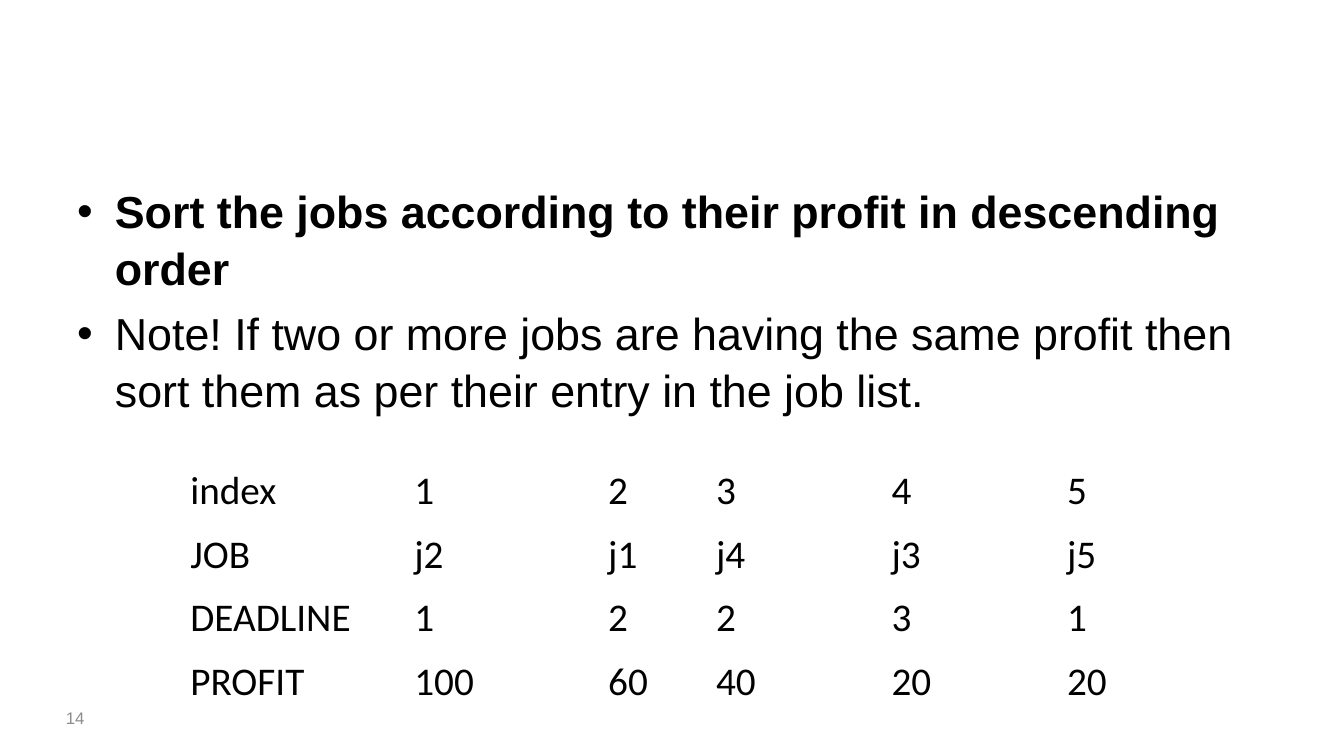
from pptx import Presentation
from pptx.dml.color import RGBColor
from pptx.enum.text import MSO_ANCHOR as Anchor
from pptx.oxml import parse_xml
from pptx.oxml.ns import nsdecls
from pptx.util import Pt

BULLETS = [
    ("Sort the jobs according to their profit in descending order", True),
    ("Note! If two or more jobs are having the same profit then "
     "sort them as per their entry in the job list.", False),
]
JOBS = [
    ["index", "1", "2", "3", "4", "5"],
    ["JOB", "j2", "j1", "j4", "j3", "j5"],
    ["DEADLINE", "1", "2", "2", "3", "1"],
    ["PROFIT", "100", "60", "40", "20", "20"],
]
COLUMN_WIDTHS = [160, 138.5, 77, 125.4, 125.4, 125.4]
ROW_HEIGHT = 45.36
BLACK, GREY = "000000", "8C8C8C"


def colour(code):
    return RGBColor.from_string(code)


class JobSlide:
    body_font = "Arial"
    table_font = "Calibri"

    def __init__(self, deck):
        self.page = deck.slides.add_slide(deck.slide_layouts[6])

    def style(self, para, font, size, code, bold=False):
        for span in para.runs:
            span.font.name = font
            span.font.size = Pt(size)
            span.font.bold = bold
            span.font.color.rgb = colour(code)

    def text_box(self, left, top, width, height, anchor=Anchor.TOP):
        box = self.page.shapes.add_textbox(Pt(left), Pt(top), Pt(width), Pt(height))
        box.text_frame.word_wrap = True
        box.text_frame.vertical_anchor = anchor
        return box.text_frame

    def bullets(self, left, top, width, height, items, size=32, indent=27):
        frame = self.text_box(left, top, width, height)
        frame.text = "\n".join(text for text, _ in items)
        for para, (_, bold) in zip(frame.paragraphs, items):
            para.line_spacing = 1.05
            para.space_before = Pt(size * 0.2)
            self.style(para, self.body_font, size, BLACK, bold)
            props = para._p.get_or_add_pPr()
            props.set("marL", str(Pt(indent)))
            props.set("indent", str(-Pt(indent)))
            props.append(parse_xml(f'<a:buFont {nsdecls("a")} typeface="Arial"/>'))
            props.append(parse_xml(f'<a:buChar {nsdecls("a")} char="•"/>'))

    def label(self, left, top, width, height, text, size, code):
        frame = self.text_box(left, top, width, height, Anchor.MIDDLE)
        frame.text = text
        self.style(frame.paragraphs[0], self.body_font, size, code)

    def table(self, left, top, rows, widths, row_height, size):
        table = self.page.shapes.add_table(
            len(rows), len(widths), Pt(left), Pt(top),
            Pt(sum(widths)), Pt(row_height * len(rows))).table
        table.first_row = table.horz_banding = False
        # Plain "No Style, No Grid" table
        table._tbl.tblPr.find("{*}tableStyleId").text = \
            "{2D5ABB26-0587-4C30-8999-92F81FD0307C}"
        for column, width in zip(table.columns, widths):
            column.width = Pt(width)
        for line, values in zip(table.rows, rows):
            line.height = Pt(row_height)
            for cell, value in zip(line.cells, values):
                cell.fill.background()
                cell.vertical_anchor = Anchor.MIDDLE
                cell.text = value
                self.style(cell.text_frame.paragraphs[0],
                           self.table_font, size, BLACK)


def main():
    deck = Presentation()
    deck.slide_width, deck.slide_height = Pt(960), Pt(540)
    slide = JobSlide(deck)

    # Sorting rule
    slide.bullets(48, 126, 864, 356.4, BULLETS)

    # Slide number
    slide.label(40, 498, 224, 28.8, "14", 12, GREY)

    # Jobs in order of profit
    slide.table(128.8, 328.3, JOBS, COLUMN_WIDTHS, ROW_HEIGHT, 28)

    deck.save("out.pptx")


if __name__ == "__main__":
    main()
